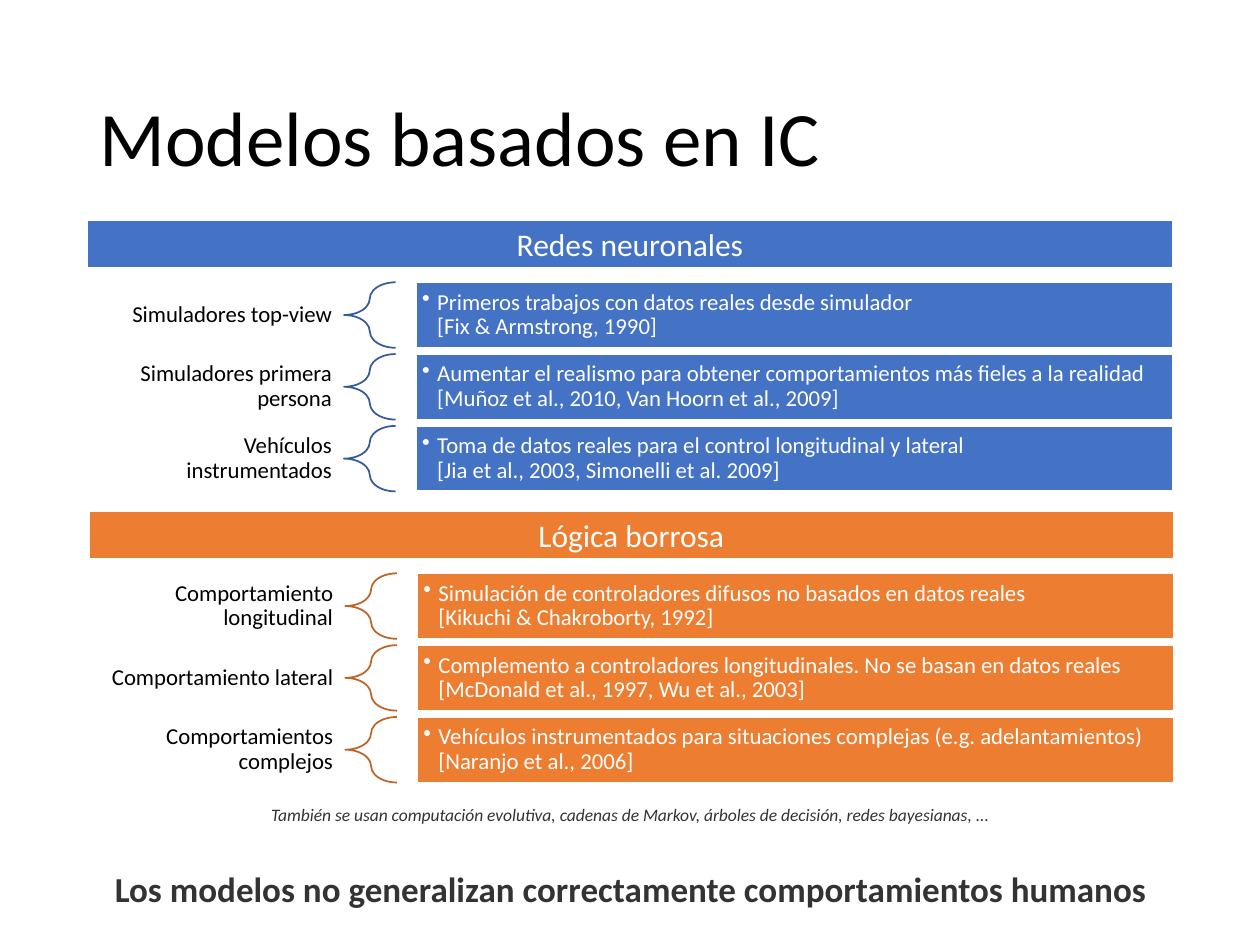
from lxml.etree import SubElement
from pptx import Presentation
from pptx.dml.color import RGBColor
from pptx.enum.shapes import MSO_SHAPE
from pptx.enum.text import MSO_ANCHOR, PP_ALIGN
from pptx.oxml.ns import qn
from pptx.util import Inches, Pt

FONT = "Calibri"
BLACK, GREY, WHITE = "000000", "333333", "FFFFFF"
ROW_PITCH = 0.57
ROW_HEIGHT = 0.52

SECTIONS = [
    ("Redes neuronales", 0.69, 1.74, "4472C4", "365B9D", [
        ("Simuladores top-view",
         "Primeros trabajos con datos reales desde simulador\v[Fix & Armstrong, 1990]"),
        ("Simuladores primera persona",
         "Aumentar el realismo para obtener comportamientos más fieles a la realidad\v"
         "[Muñoz et al., 2010, Van Hoorn et al., 2009]"),
        ("Vehículos instrumentados",
         "Toma de datos reales para el control longitudinal y lateral\v"
         "[Jia et al., 2003, Simonelli et al. 2009]"),
    ]),
    ("Lógica borrosa", 0.7, 4.05, "ED7D31", "BE6427", [
        ("Comportamiento longitudinal",
         "Simulación de controladores difusos no basados en datos reales\v"
         "[Kikuchi & Chakroborty, 1992]"),
        ("Comportamiento lateral",
         "Complemento a controladores longitudinales. No se basan en datos reales\v"
         "[McDonald et al., 1997, Wu et al., 2003]"),
        ("Comportamientos complejos",
         "Vehículos instrumentados para situaciones complejas (e.g. adelantamientos)\v"
         "[Naranjo et al., 2006]"),
    ]),
]


def colour(value):
    return RGBColor.from_string(value)


def add_bullet(para):
    properties = para._p.get_or_add_pPr()
    properties.set("marL", str(Inches(0.12)))
    properties.set("indent", str(-Inches(0.12)))
    SubElement(properties, qn("a:buChar")).set("char", "•")


def write(shape, text, size, ink, align=PP_ALIGN.LEFT, margins=(0.1, 0.05, 0.1, 0.05),
          spacing=1.0, bullet=False, bold=False, italic=False):
    frame = shape.text_frame
    frame.word_wrap = True
    frame.vertical_anchor = MSO_ANCHOR.MIDDLE
    frame.margin_left, frame.margin_top, frame.margin_right, frame.margin_bottom = map(
        Inches, margins)
    para = frame.paragraphs[0]
    para.text = text
    para.alignment = align
    para.line_spacing = spacing
    if bullet:
        add_bullet(para)
    font = para.font
    font.name, font.size, font.bold, font.italic = FONT, Pt(size), bold, italic
    font.color.rgb = colour(ink)


def add_text(page, box, *args, **style):
    write(page.shapes.add_textbox(*map(Inches, box)), *args, **style)


def add_shape(page, kind, box, line, width, fill=None):
    shape = page.shapes.add_shape(kind, *map(Inches, box))
    shape.shadow.inherit = False
    shape.line.color.rgb = colour(line)
    shape.line.width = Pt(width)
    if fill:
        shape.fill.solid()
        shape.fill.fore_color.rgb = colour(fill)
    else:
        shape.fill.background()
    return shape


def add_row(page, left, top, label, detail, fill, brace_line):
    # Label, brace and filled detail bar
    add_text(page, (left, top, 2.04, ROW_HEIGHT), label, 13, BLACK, PP_ALIGN.RIGHT,
             margins=(0.1, 0.04, 0.1, 0.04), spacing=0.9)
    brace = add_shape(page, MSO_SHAPE.LEFT_BRACE, (left + 2.04, top, 0.41, ROW_HEIGHT),
                      brace_line, 1)
    brace.adjustments[0] = 0.35
    bar = add_shape(page, MSO_SHAPE.RECTANGLE, (left + 2.61, top, 6.01, ROW_HEIGHT),
                    WHITE, 1, fill)
    write(bar, detail, 13, WHITE, margins=(0.05,) * 4, spacing=0.9, bullet=True)


def add_section(page, heading, left, top, fill, brace_line, rows):
    header = add_shape(page, MSO_SHAPE.RECTANGLE, (left, top, 8.62, 0.39), WHITE, 1.5, fill)
    write(header, heading, 18, WHITE, PP_ALIGN.CENTER)
    for index, (label, detail) in enumerate(rows):
        add_row(page, left, top + 0.5 + index * ROW_PITCH, label, detail, fill, brace_line)


def add_title(page, box, text):
    title = page.shapes.title
    title.left, title.top, title.width, title.height = map(Inches, box)
    write(title, text, 44, BLACK, spacing=0.9)


def add_closing(page, left, top):
    # Remark on other methods, then the conclusion
    add_text(page, (left, top, 8.62, 0.28),
             "También se usan computación evolutiva, cadenas de Markov, árboles de decisión, "
             "redes bayesianas, ...", 10, GREY, PP_ALIGN.CENTER,
             margins=(0.1, 0.12, 0.1, 0.05), italic=True)
    add_text(page, (left - 0.08, top + 0.54, 8.79, 0.44),
             "Los modelos no generalizan correctamente comportamientos humanos",
             20, GREY, PP_ALIGN.CENTER, bold=True)


def main():
    deck = Presentation()
    deck.slide_width, deck.slide_height = Inches(10), Inches(7.5)
    page = deck.slides.add_slide(deck.slide_layouts[5])
    add_title(page, (0.69, 0.4, 8.62, 1.45), "Modelos basados en IC")
    for section in SECTIONS:
        add_section(page, *section)
    add_closing(page, 0.69, 6.29)
    deck.save("out.pptx")


if __name__ == "__main__":
    main()
